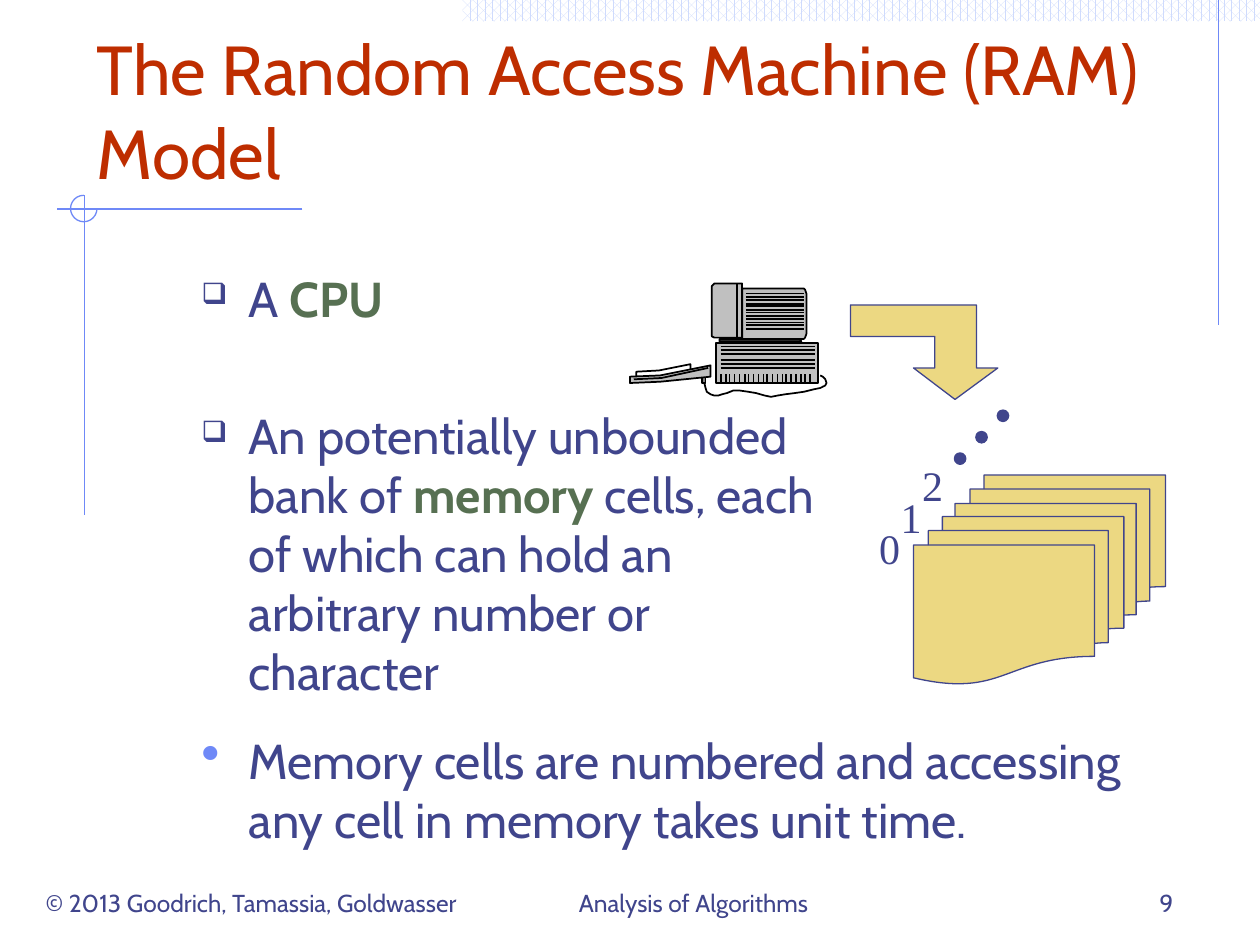
from lxml import etree
from pptx import Presentation
from pptx.dml.color import RGBColor
from pptx.enum.dml import MSO_PATTERN
from pptx.enum.shapes import MSO_CONNECTOR, MSO_SHAPE
from pptx.enum.text import MSO_ANCHOR, PP_ALIGN
from pptx.oxml.ns import qn
from pptx.util import Pt

PX = 9144  # 100 px to the inch
COLORS = {
    "text": "40458C", "title": "BE2D00", "key": "577052", "rule": "6F89F7",
    "band": "CFDBFD", "white": "FFFFFF", "paper": "ECD882", "black": "000000",
    "case": "C0C0C0", "plug": "808080", "base": "3F3F3F",
}
RGB = {name: RGBColor.from_string(value) for name, value in COLORS.items()}

prs = Presentation()
prs.slide_width, prs.slide_height = 1000 * PX, 750 * PX
s = prs.slides.add_slide(prs.slide_layouts[6])


def style(sp, fill, line, width):
    sp.shadow.inherit = False
    if fill:
        sp.fill.solid()
        sp.fill.fore_color.rgb = RGB[fill]
    else:
        sp.fill.background()
    sp.line.color.rgb = RGB[line]
    sp.line.width = Pt(width)


def add_text(at, paragraphs, size, font="Cabin", align=PP_ALIGN.LEFT,
             anchor=MSO_ANCHOR.TOP, wrap=True):
    """Each paragraph is a list of (text, colour, bold) runs."""
    tf = s.shapes.add_textbox(*[v * PX for v in at]).text_frame
    tf.word_wrap = wrap
    tf.vertical_anchor = anchor
    for i, runs in enumerate(paragraphs):
        p = tf.add_paragraph() if i else tf.paragraphs[0]
        p.alignment = align
        for text, color, bold in runs:
            r = p.add_run()
            r.text = text
            r.font.name = font
            r.font.size = Pt(size)
            r.font.bold = bold
            r.font.color.rgb = RGB[color]
    return tf


# Band across the top and the quarter-open ring where the rules cross
band = s.shapes.add_shape(MSO_SHAPE.RECTANGLE, 367 * PX, 0, 633 * PX, 17 * PX)
band.shadow.inherit = False
band.fill.patterned()
band.fill.pattern = MSO_PATTERN.PERCENT_60
band.fill.fore_color.rgb = RGB["band"]
band.fill.back_color.rgb = RGB["white"]
band.line.fill.background()

ring = s.shapes.add_shape(MSO_SHAPE.ARC, 56 * PX, 155 * PX, 21 * PX, 21 * PX)
ring.adjustments[0] = 0
ring.adjustments[1] = 162  # 270 degrees
style(ring, None, "rule", 0.75)

# Title and footer
add_text((67, 33, 850, 125),
         [[("The Random Access Machine (RAM) Model", "title", False)]],
         39.6, anchor=MSO_ANCHOR.BOTTOM)
for at, text, align in [
    ((8, 683, 383, 50), "© 2013 Goodrich, Tamassia, Goldwasser", PP_ALIGN.CENTER),
    ((392, 683, 317, 50), "Analysis of Algorithms", PP_ALIGN.CENTER),
    ((733, 683, 208, 50), "9", PP_ALIGN.RIGHT),
]:
    add_text(at, [[(text, "text", False)]], 14, align=align,
             anchor=MSO_ANCHOR.BOTTOM)

# Bulleted text
parts = add_text((150, 208, 525, 367), [
    [("A ", "text", False), ("CPU", "key", True)],
    [("An potentially unbounded bank of ", "text", False),
     ("memory", "key", True),
     (" cells, each of which can hold an arbitrary number or character",
      "text", False)],
], 28)
access = add_text((150, 575, 800, 125), [
    [("Memory cells are numbered and accessing any cell in memory takes "
      "unit time.", "text", False)],
], 28)
for p, char, color, percent, before in [
    (parts.paragraphs[0], "❑", "text", 60, 6),
    (parts.paragraphs[1], "❑", "text", 60, 45),
    (access.paragraphs[0], "•", "rule", 110, 6),
]:
    p.space_before = Pt(before)
    pPr = p._p.get_or_add_pPr()
    pPr.set("marL", "342900")
    pPr.set("indent", "-342900")
    clr = etree.SubElement(pPr, qn("a:buClr"))
    etree.SubElement(clr, qn("a:srgbClr"), val=COLORS[color])
    etree.SubElement(pPr, qn("a:buSzPct"), val=str(percent * 1000))
    etree.SubElement(pPr, qn("a:buChar"), char=char)

# Computer outlines and the bent arrow: points, closed, fill, line, width
plug = s.shapes.add_shape(MSO_SHAPE.RECTANGLE, 557 * PX, 298 * PX, 3 * PX, 6 * PX)
style(plug, "plug", "black", 1)
keyboard_top = [(505, 295), (523, 294), (548, 289), (548, 297), (522, 300),
                (505, 301)]
keyboard_side = [(564, 290), (524, 298), (500, 299), (500, 304), (524, 303),
                 (564, 299)]
keyboard_edge = [(503, 301), (525, 300), (562, 292)]
cable = [(559, 304), (560, 308), (561, 311), (564, 313), (567, 314), (570, 314),
         (573, 313), (577, 312), (582, 310), (587, 310), (594, 311), (600, 312),
         (607, 314), (612, 315), (617, 314), (623, 313), (631, 312), (638, 311),
         (646, 309), (651, 308), (653, 307), (655, 306), (656, 304), (655, 301),
         (653, 299), (651, 298)]
stand = [(636, 271), (571, 271), (571, 269), (635, 269)]
monitor_back = [(589, 269), (638, 269), (639, 268), (640, 265), (640, 233),
                (639, 230), (638, 229), (589, 229)]
monitor_front = [(589, 225), (589, 268), (567, 268), (565, 267), (565, 227),
                 (567, 225)]
bent_arrow = [(758, 317), (725, 292), (742, 292), (742, 267), (675, 267),
              (675, 242), (775, 242), (775, 292), (792, 292)]
for points, closed, fill, line, width in [
    (keyboard_top, True, "white", "black", 1),
    (keyboard_side, True, "case", "black", 1),
    (keyboard_edge, False, None, "black", 1),
    (cable, False, None, "black", 1),
    (stand, True, "base", "black", 1),
    (monitor_back, True, "case", "black", 1),
    (monitor_front, True, "case", "black", 1),
    (bent_arrow, True, "paper", "text", 0.75),
]:
    fb = s.shapes.build_freeform(*points[0], scale=PX)
    fb.add_line_segments(points[1:], close=closed)
    style(fb.convert_to_shape(), fill, line, width)
case = s.shapes.add_shape(MSO_SHAPE.RECTANGLE, 568 * PX, 272 * PX, 81 * PX, 32 * PX)
style(case, "case", "black", 1)

# Straight lines: slide rules, then the computer's slots, ticks and vents
rules = [(967, 0, 967, 258), (240, 166, 45, 166), (67, 155, 67, 409)]
slots = [(572, y, 647, y) for y in (275, 278, 281, 286, 289, 292)]
ticks = [(x, 297, x, 305) for x in (round(572 + i * 71 / 19) for i in range(20))]
vents = [(592, y, 638, y) for y in (round(233 + i * 28 / 11) for i in range(12))]
seam = [(585, 225, 585, 270)]
for lines, color, width in [(rules, "rule", 0.75),
                            (slots + ticks + vents + seam, "black", 1)]:
    for ends in lines:
        c = s.shapes.add_connector(MSO_CONNECTOR.STRAIGHT, *[v * PX for v in ends])
        c.line.color.rgb = RGB[color]
        c.line.width = Pt(width)
        etree.SubElement(c._element.spPr, qn("a:effectLst"))

# Memory cells, back to front, with their numbers and the dots that go on
for x, y in [(758, 377), (725, 410)]:
    cells = s.shapes.add_shape(MSO_SHAPE.FLOWCHART_MULTIDOCUMENT,
                               x * PX, y * PX, 167 * PX, 133 * PX)
    style(cells, "paper", "text", 0.75)
for i in range(3):
    add_text((688 + 17 * i, 410 - 25 * i, 37, 50), [[(str(i), "text", False)]],
             24, font="Times New Roman", wrap=False)
    dot = s.shapes.add_shape(MSO_SHAPE.OVAL, (758 + 17 * i) * PX,
                             (360 - 17 * i) * PX, 8 * PX, 8 * PX)
    style(dot, "text", "text", 1.5)

prs.save("out.pptx")
